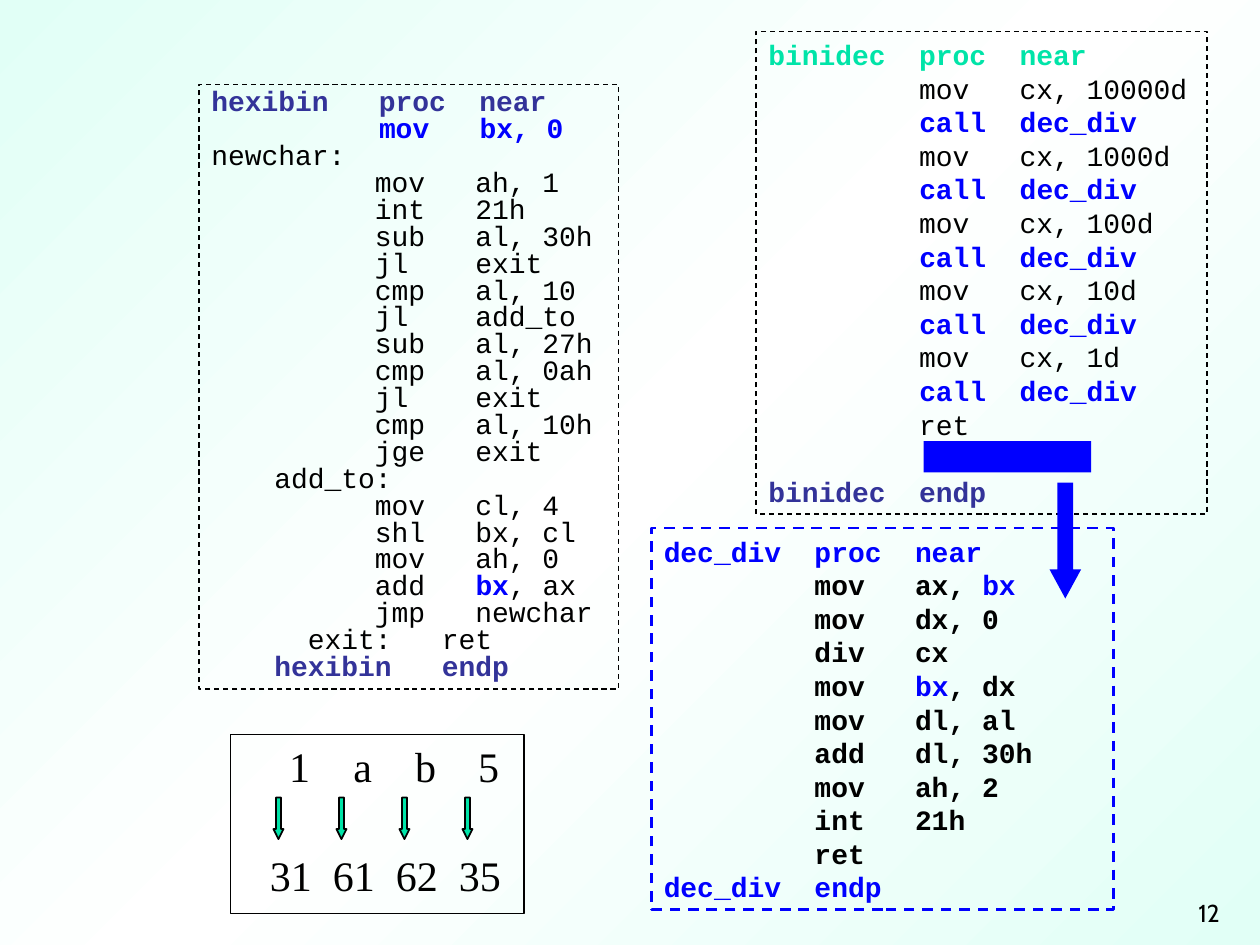
from copy import deepcopy

from pptx import Presentation
from pptx import util as u
from pptx.dml.color import RGBColor
from pptx.enum import dml, shapes, text
from pptx.oxml.ns import qn

COLORS = {
    "black": "000000",
    "blue": "0000FF",
    "indigo": "333399",
    "green": "00E4A8",
    "mint": "E1FFF6",
    "white": "FFFFFF",
}

HEXIBIN = """\
hexibin   proc  near
          |mov   bx, 0
newchar:
      mov   ah, 1
      int   21h
      sub   al, 30h
      jl    exit
      cmp   al, 10
      jl    add_to
      sub   al, 27h
      cmp   al, 0ah
      jl    exit
      cmp   al, 10h
      jge   exit
add_to:
      mov   cl, 4
      shl   bx, cl
      mov   ah, 0
      add   |bx|, ax
      jmp   newchar
  exit:   ret
hexibin   endp"""

BINIDEC = """\
binidec  proc  near
         mov   cx, 10000d
         |call  dec_div
         mov   cx, 1000d
         |call  dec_div
         mov   cx, 100d
         |call  dec_div
         mov   cx, 10d
         |call  dec_div
         mov   cx, 1d
         |call  dec_div
         ret
binidec  endp"""

DEC_DIV = """\
dec_div  proc  near
         mov   ax, |bx
         mov   dx, 0
         div   cx
         mov   |bx|, dx
         mov   dl, al
         add   dl, 30h
         mov   ah, 2
         int   21h
         ret
dec_div  endp"""


def rgb(name):
    return RGBColor.from_string(COLORS[name])


def add_run(paragraph, content, *, size, font, color="black", bold=False):
    run = paragraph.add_run()
    run.text = content
    run.font.size = u.Pt(size)
    run.font.name = font
    run.font.bold = bold
    run.font.color.rgb = rgb(color)


class SlideBuilder:
    code_font, code_size = "Courier New", 16
    table_font, table_size = "Times New Roman", 24
    leading = 1.2

    def __init__(self, slide):
        self.slide = slide

    def background(self, edge, middle):
        """Diagonal gradient from edge colour through middle and back."""
        fill = self.slide.background.fill
        fill.gradient()
        fill.gradient_angle = 315
        for stop, position in zip(fill.gradient_stops, (0, 1)):
            stop.position = position
            stop.color.rgb = rgb(edge)
        first = self.slide.element.find(".//" + qn("a:gs"))
        first.addnext(deepcopy(first))
        center = fill.gradient_stops[1]
        center.position = 0.5
        center.color.rgb = rgb(middle)

    def shape(self, kind, box, fill=None, line=None, width=1, dashed=False):
        item = self.slide.shapes.add_shape(kind, *map(u.Inches, box))
        item.shadow.inherit = False
        if fill:
            item.fill.solid()
            item.fill.fore_color.rgb = rgb(fill)
        else:
            item.fill.background()
        if line:
            item.line.color.rgb = rgb(line)
            item.line.width = u.Pt(width)
            if dashed:
                item.line.dash_style = dml.MSO_LINE.DASH
        else:
            item.line.fill.background()
        return item

    def rect(self, box, **style):
        return self.shape(shapes.MSO_SHAPE.RECTANGLE, box, **style)

    def down_arrow(self, box, head, **style):
        arrow = self.shape(shapes.MSO_SHAPE.DOWN_ARROW, box, **style)
        arrow.adjustments[0] = 0.5
        arrow.adjustments[1] = head
        return arrow

    def code(self, box, listing, *, first, last, line="black", width=0.75,
             spacing=1, bold=False, indent_from=None, last_gap=0):
        """Dashed code panel; each "|" in the listing toggles the blue highlight."""
        frame = self.rect(box, line=line, width=width, dashed=True).text_frame
        frame.vertical_anchor = text.MSO_ANCHOR.TOP
        frame.word_wrap = True
        rows = listing.split("\n")
        ends = {0: first, len(rows) - 1: last}
        pitch = u.Pt(round(self.code_size * self.leading * spacing, 2))
        for number, row in enumerate(rows):
            paragraph = frame.add_paragraph() if number else frame.paragraphs[0]
            paragraph.alignment = text.PP_ALIGN.LEFT
            paragraph.line_spacing = pitch
            if indent_from is not None and number >= indent_from:
                paragraph._p.get_or_add_pPr().set("marL", str(u.Inches(0.5)))
            for part, content in enumerate(row.split("|")):
                marked = part % 2 == 1
                add_run(paragraph, content, size=self.code_size, font=self.code_font,
                        color=ends.get(number, "blue" if marked else "black"),
                        bold=bold or marked or number in ends)
        if last_gap:
            paragraph.space_before = u.Pt(last_gap)

    def text_box(self, box, anchor=text.MSO_ANCHOR.TOP):
        frame = self.slide.shapes.add_textbox(*map(u.Inches, box)).text_frame
        frame.word_wrap = True
        frame.vertical_anchor = anchor
        return frame

    def key_codes(self, box, rows, gap):
        """Rows of (first centre, cells), set on centred tab stops half an inch apart."""
        frame = self.text_box(box)
        for number, (start, cells) in enumerate(rows):
            paragraph = frame.add_paragraph() if number else frame.paragraphs[0]
            paragraph.line_spacing = u.Pt(self.table_size * self.leading)
            if number:
                paragraph.space_before = u.Pt(gap)
            stops = paragraph._p.get_or_add_pPr().makeelement(qn("a:tabLst"), {})
            paragraph._p.get_or_add_pPr().append(stops)
            for column in range(len(cells)):
                position = u.Inches(start + 0.5 * column)
                stops.append(stops.makeelement(
                    qn("a:tab"), {"pos": str(position), "algn": "ctr"}))
            add_run(paragraph, "".join("\t" + cell for cell in cells),
                    size=self.table_size, font=self.table_font)

    def page_number(self, box, number):
        paragraph = self.text_box(box, text.MSO_ANCHOR.BOTTOM).paragraphs[0]
        paragraph.alignment = text.PP_ALIGN.RIGHT
        add_run(paragraph, number, size=14, font="Cabin")


def main():
    deck = Presentation()
    deck.slide_width, deck.slide_height = u.Inches(10), u.Inches(7.5)
    page = SlideBuilder(deck.slides.add_slide(deck.slide_layouts[6]))
    page.background("mint", "white")
    page.page_number((7.42, 7.03, 2.36, 0.38), "12")

    page.code((1.58, 0.67, 3.33, 4.8), HEXIBIN, first="indigo", last="indigo",
              spacing=0.8, indent_from=3)
    page.code((6, 0.25, 3.58, 3.83), BINIDEC, first="green", last="indigo",
              last_gap=19.2)
    page.code((5.17, 4.19, 3.67, 3.03), DEC_DIV, first="blue", last="blue",
              line="blue", width=1.5, bold=True)
    page.rect((7.33, 3.5, 1.33, 0.25), fill="blue")
    page.down_arrow((8.33, 3.83, 0.25, 0.92), 0.92, fill="blue")

    page.key_codes((1.92, 5.83, 2.25, 1.36),
                   [(0.36, "1ab5"), (0.29, ("31", "61", "62", "35"))], gap=33.2)
    for column in range(4):
        page.down_arrow((2.17 + 0.5 * column, 6.33, 0.08, 0.33), 1,
                        fill="green", line="black")
    page.rect((1.83, 5.83, 2.33, 1.42), line="black")
    deck.save("out.pptx")


if __name__ == "__main__":
    main()
